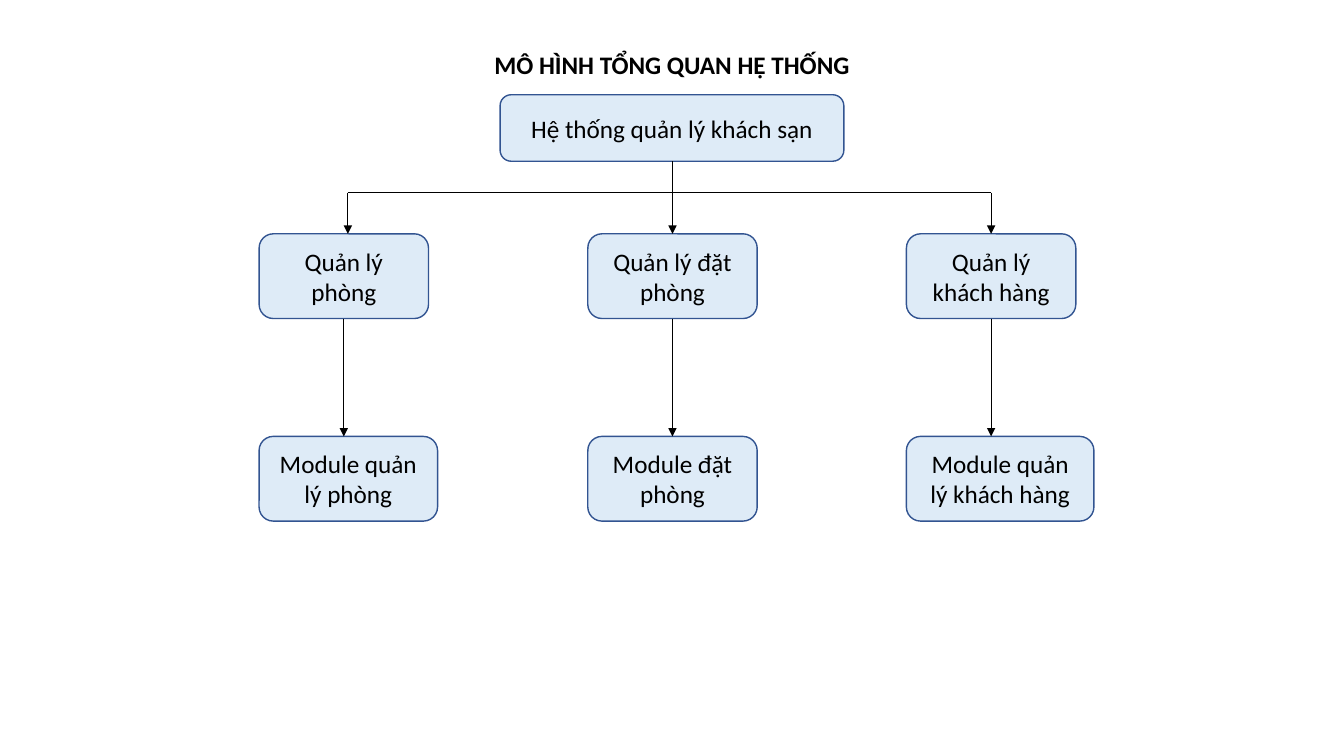
"""Build the overview diagram of a hotel management system."""
import pptx
import pptx.util
from lxml import etree
from pptx.dml.color import RGBColor
from pptx.enum.shapes import MSO_CONNECTOR, MSO_SHAPE
from pptx.enum.text import MSO_ANCHOR, PP_ALIGN
from pptx.oxml.ns import qn
from pptx.util import Inches

TITLE = "MÔ HÌNH TỔNG QUAN HỆ THỐNG"
SYSTEM = "Hệ thống quản lý khách sạn"
BRANCHES = [
    {"left": 2.57, "drop": 3.45, "area": "Quản lý phòng",
     "module": "Module quản lý phòng", "module_width": 1.77},
    {"left": 5.83, "drop": 6.67, "area": "Quản lý đặt phòng",
     "module": "Module đặt phòng", "module_width": 1.68},
    {"left": 8.99, "drop": 9.83, "area": "Quản lý khách hàng",
     "module": "Module quản lý khách hàng", "module_width": 1.86},
]

BLACK = RGBColor(0x00, 0x00, 0x00)
PALE_BLUE = RGBColor(0xDE, 0xEB, 0xF7)
EDGE_BLUE = RGBColor(0x32, 0x54, 0x91)

SYSTEM_LEFT, SYSTEM_TOP, SYSTEM_WIDTH, SYSTEM_HEIGHT = 4.96, 0.94, 3.41, 0.66
BOX_WIDTH, BOX_HEIGHT = 1.68, 0.84
BUS_TOP, AREA_TOP, MODULE_TOP = 1.91, 2.32, 4.33


def write(shape, text, bold=False, line_spacing=1.0):
    """Put centred text into a shape."""
    frame = shape.text_frame
    frame.text = text
    frame.word_wrap = True
    frame.vertical_anchor = MSO_ANCHOR.MIDDLE
    para = frame.paragraphs[0]
    para.alignment = PP_ALIGN.CENTER
    para.line_spacing = line_spacing
    style = {"name": "Calibri", "size": pptx.util.Pt(18), "bold": bold}
    span = para.runs[0]
    for key, value in style.items():
        setattr(span.font, key, value)
    span.font.color.rgb = BLACK


def add_box(page, text, left, top, width, height):
    """Add a rounded box with its label."""
    box = page.shapes.add_shape(
        MSO_SHAPE.ROUNDED_RECTANGLE,
        Inches(left), Inches(top), Inches(width), Inches(height))
    box.shadow.inherit = False
    box.fill.solid()
    box.fill.fore_color.rgb = PALE_BLUE
    box.line.color.rgb = EDGE_BLUE
    box.line.width = pptx.util.Pt(1)
    write(box, text)


def add_line(page, start, end, arrow=True):
    """Join two points with a thin line."""
    line = page.shapes.add_connector(
        MSO_CONNECTOR.STRAIGHT, *(Inches(value) for value in start + end))
    line.line.color.rgb = BLACK
    line.line.width = pptx.util.Pt(0.5)
    properties = line._element.spPr
    etree.SubElement(properties, qn("a:effectLst"))
    if arrow:
        head = etree.SubElement(properties.find(qn("a:ln")), qn("a:tailEnd"))
        head.set("type", "triangle")


def main():
    """Draw the slide and save it."""
    deck = pptx.Presentation()
    deck.slide_width, deck.slide_height = Inches(13.33), Inches(7.5)
    page = deck.slides.add_slide(deck.slide_layouts.get_by_name("Title Only"))

    title = page.shapes.title
    place = {"left": 4.34, "top": 0.38, "width": 4.65, "height": 0.56}
    for key, value in place.items():
        setattr(title, key, Inches(value))
    write(title, TITLE, bold=True, line_spacing=0.9)

    add_box(page, SYSTEM, SYSTEM_LEFT, SYSTEM_TOP, SYSTEM_WIDTH, SYSTEM_HEIGHT)
    for branch in BRANCHES:
        left = branch["left"]
        add_box(page, branch["area"], left, AREA_TOP, BOX_WIDTH, BOX_HEIGHT)
        add_box(page, branch["module"], left, MODULE_TOP,
                branch["module_width"], BOX_HEIGHT)

    drops = [branch["drop"] for branch in BRANCHES]
    system_bottom = SYSTEM_TOP + SYSTEM_HEIGHT
    add_line(page, (drops[0], BUS_TOP), (drops[-1], BUS_TOP), arrow=False)
    for branch, drop in zip(BRANCHES, drops):
        center = branch["left"] + BOX_WIDTH / 2
        drop_top = system_bottom if drop == drops[1] else BUS_TOP
        add_line(page, (drop, drop_top), (drop, AREA_TOP))
        add_line(page, (center, AREA_TOP + BOX_HEIGHT), (center, MODULE_TOP))

    deck.save("out.pptx")


if __name__ == "__main__":
    main()
